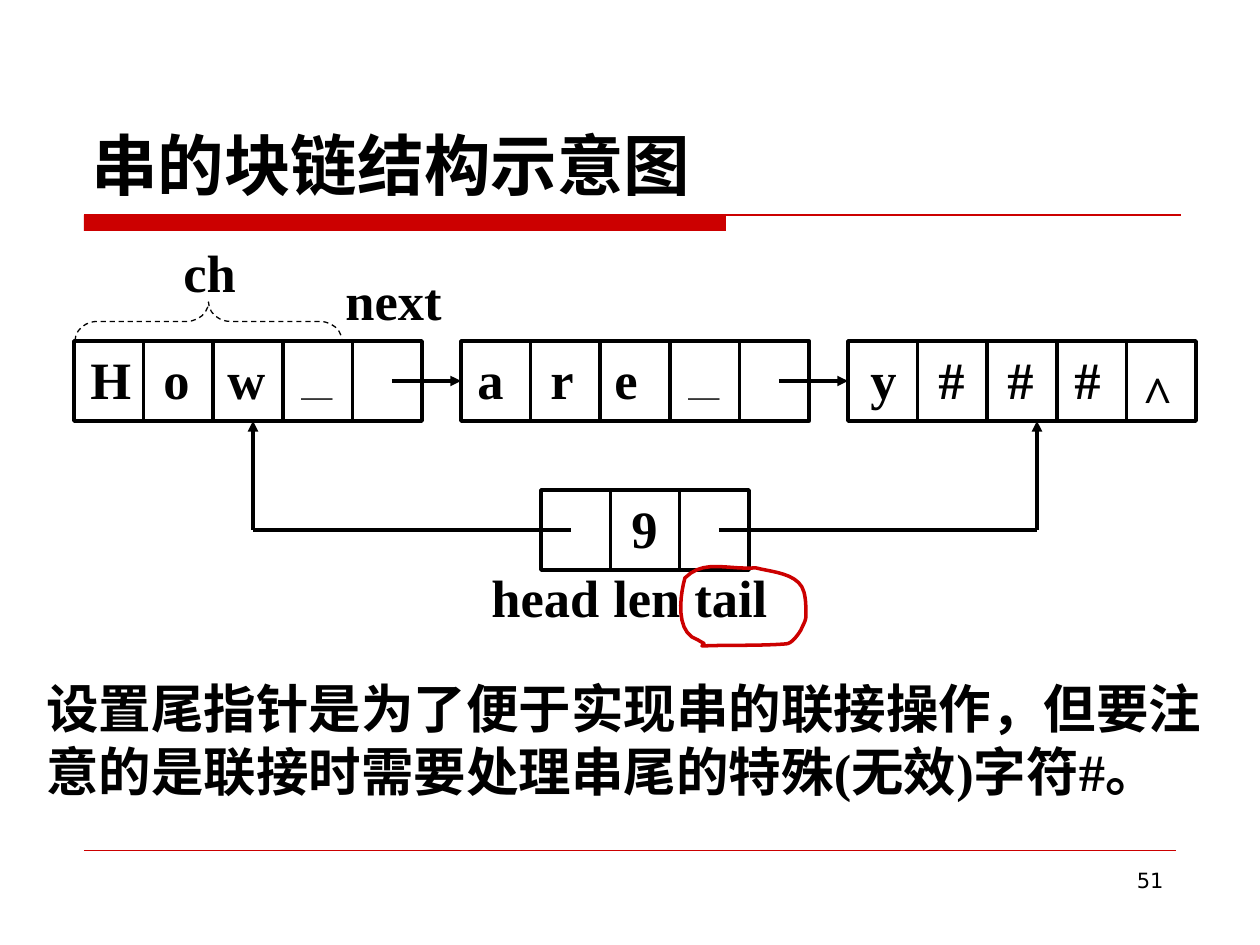
from dataclasses import dataclass

from lxml.etree import SubElement
from pptx import Presentation
from pptx.dml.color import RGBColor
from pptx.enum.dml import MSO_LINE
from pptx.enum.shapes import MSO_CONNECTOR, MSO_SHAPE
from pptx.enum.text import MSO_ANCHOR, PP_ALIGN
from pptx.oxml.ns import qn
from pptx.slide import Slide
from pptx.util import Pt

COLORS = {"ink": "000000", "accent": "CC0000"}
SCALE = 914400 / 126
SERIF, SANS = "Times New Roman", "DejaVu Sans"
NODE_W, NODE_H, NODE_TOP = 348, 80, 341
MIDDLE = NODE_TOP + NODE_H // 2


def px(length):
    return round(length * SCALE)


def rgb(name):
    return RGBColor.from_string(COLORS[name])


def bezier(start, *curves, steps=10):
    """Return points along a chain of cubic curves."""
    points = [start]
    for a, b, end in curves:
        for step in range(1, steps + 1):
            t = step / steps
            u = 1 - t
            points.append(tuple(
                u**3 * p + 3 * u * u * t * q + 3 * u * t * t * r + t**3 * s
                for p, q, r, s in zip(start, a, b, end)))
        start = end
    return points


@dataclass
class Sketch:
    """Draw styled elements on the current slide."""
    slide: Slide
    weight: float = 2

    def outline(self, shape, color="ink", weight=None):
        shape.line.color.rgb = rgb(color)
        shape.line.width = Pt(weight or self.weight)

    def preset(self, kind, left, top, width, height, weight=None):
        shape = self.slide.shapes.add_shape(kind, px(left), px(top), px(width), px(height))
        shape.shadow.inherit = False
        shape.fill.background()
        self.outline(shape, weight=weight)
        return shape

    def bar(self, left, top, width, height):
        shape = self.preset(MSO_SHAPE.RECTANGLE, left, top, width, height)
        shape.fill.solid()
        shape.fill.fore_color.rgb = rgb("accent")
        shape.line.fill.background()

    def line(self, x1, y1, x2, y2, color="ink", weight=None, arrow=False):
        connector = self.slide.shapes.add_connector(
            MSO_CONNECTOR.STRAIGHT, px(x1), px(y1), px(x2), px(y2))
        self.outline(connector, color, weight)
        if arrow:
            SubElement(connector.line._get_or_add_ln(), qn("a:tailEnd"), type="triangle")
        SubElement(connector._element.spPr, qn("a:effectLst"))

    def text(self, words, left, top, width, height=76, size=30, font=SERIF,
             bold=True, align=PP_ALIGN.LEFT, anchor=MSO_ANCHOR.TOP):
        box = self.slide.shapes.add_textbox(px(left), px(top), px(width), px(height))
        frame = box.text_frame
        frame.word_wrap = True
        frame.vertical_anchor = anchor
        paragraph = frame.paragraphs[0]
        paragraph.alignment = align
        run = paragraph.add_run()
        run.text = words
        run.font.size = Pt(size)
        run.font.name = font
        run.font.bold = bold
        run.font.color.rgb = rgb("ink")

    def cells(self, left, top, width, count):
        self.preset(MSO_SHAPE.RECTANGLE, left, top, width, NODE_H)
        for index in range(1, count):
            x = left + width * index / count
            self.line(x, top, x, top + NODE_H)

    def loop(self, points):
        builder = self.slide.shapes.build_freeform(px(points[0][0]), px(points[0][1]))
        builder.add_line_segments([(px(x), px(y)) for x, y in points[1:]], close=True)
        shape = builder.convert_to_shape()
        shape.shadow.inherit = False
        shape.fill.background()
        self.outline(shape, "accent")


def main():
    deck = Presentation()
    deck.slide_width, deck.slide_height = px(1260), px(945)
    sketch = Sketch(deck.slides.add_slide(deck.slide_layouts[6]))

    sketch.bar(84, 215, 642, 16)
    sketch.line(84, 215, 1181, 215, "accent", 0.75)
    sketch.line(84, 850, 1176, 850, "accent", 0.25)
    sketch.text("51", 903, 861, 273, 66, 12, SANS, False, PP_ALIGN.RIGHT)
    sketch.text("串的块链结构示意图", 79, 42, 1103, 168, 38, SANS, anchor=MSO_ANCHOR.BOTTOM)

    shared_offsets = (4, 77, 141, 215)
    nodes = (
        (74, "How＿", shared_offsets),
        (461, "are＿", shared_offsets),
        (848, "y###^", (10, 78, 147, 214, 282)),
    )
    for left, letters, offsets in nodes:
        sketch.cells(left, NODE_TOP, NODE_W, 5)
        for letter, offset in zip(letters, offsets):
            if letter == "＿":
                sketch.text(letter, left + offset, 359, 66, 50, 18, SANS)
            else:
                drop = 14 if letter == "^" else 0
                sketch.text(letter, left + offset, NODE_TOP + drop, 66)
    for left, _, _ in nodes[1:]:
        sketch.line(left - 69, MIDDLE, left, MIDDLE, arrow=True)

    sketch.cells(541, 490, 208, 3)
    sketch.text("9", 619, 490, 66)
    for inner, outer in ((571, 253), (719, 1037)):
        sketch.line(inner, 530, outer, 530)
        sketch.line(outer, 530, outer, NODE_TOP + NODE_H, arrow=True)

    labels = (("head", 479, 559, 149), ("len", 601, 559, 110), ("tail", 682, 559, 110),
              ("next", 333, 262, 149), ("ch", 171, 234, 100))
    for label, left, top, width in labels:
        sketch.text(label, left, top, width)

    ch_brace = sketch.preset(MSO_SHAPE.LEFT_BRACE, 189, 188, 39, 267, 0.75)
    ch_brace.adjustments[0] = 0.57
    ch_brace.rotation = 90
    ch_brace.line.dash_style = MSO_LINE.DASH

    sketch.text("设置尾指针是为了便于实现串的联接操作，但要注意的是联接时需要处理串尾的特殊(无效)字符#。",
                34, 670, 1201, 139)
    sketch.loop(bezier(
        (702, 646),
        ((729, 645), (759, 646), (786, 644)),
        ((793, 644), (801, 630), (801, 630)),
        ((803, 625), (806, 621), (806, 616)),
        ((806, 607), (806, 600), (804, 592)),
        ((799, 573), (771, 572), (756, 568)),
        ((727, 570), (704, 559), (685, 578)),
        ((680, 596), (675, 633), (698, 640)),
        ((704, 644), (706, 643), (702, 646)),
    ))
    deck.save("out.pptx")


if __name__ == "__main__":
    main()
